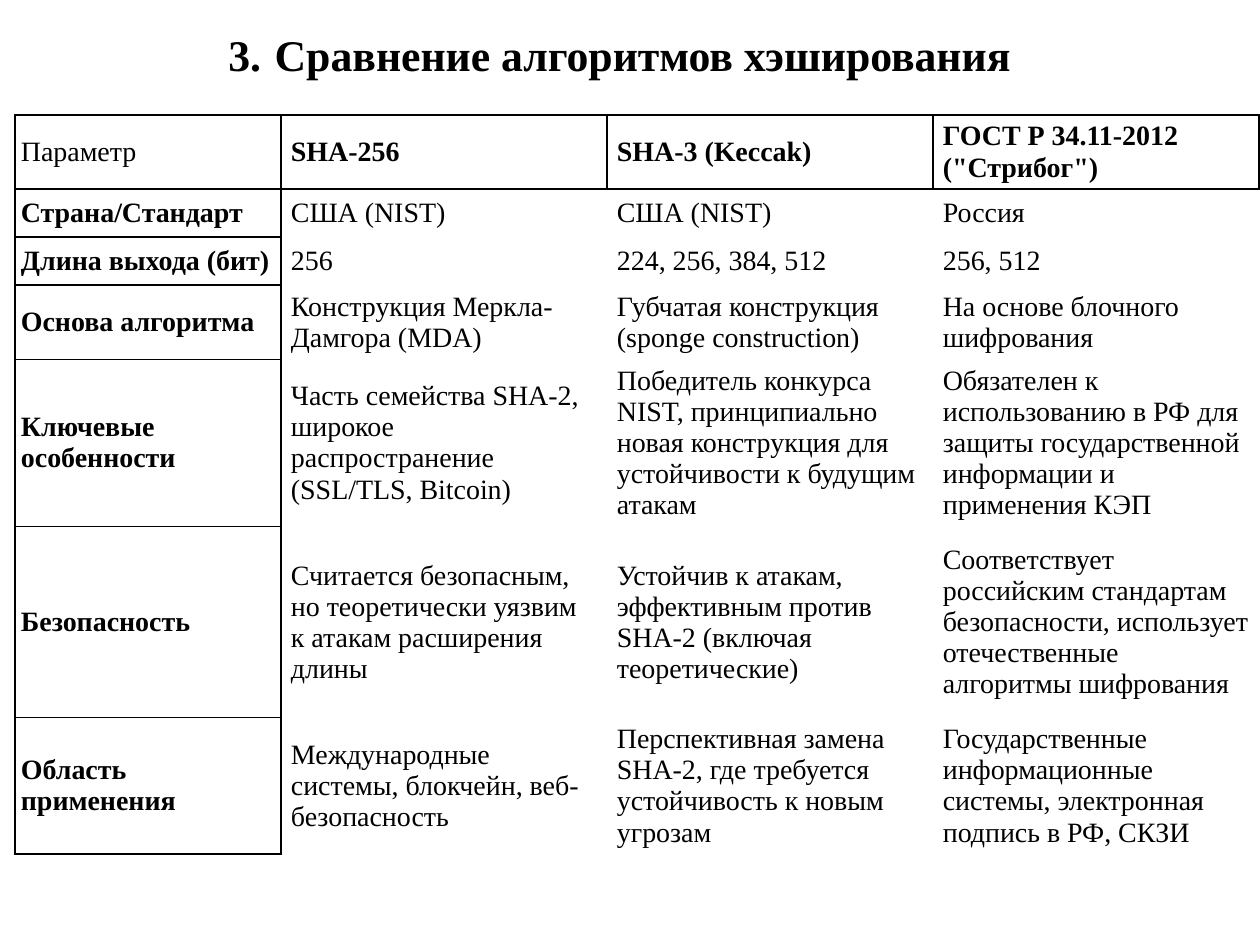
from pptx import Presentation
from pptx.dml.color import RGBColor
from pptx.enum.text import MSO_ANCHOR as Anchor, MSO_AUTO_SIZE as AutoSize, PP_ALIGN as Align
from pptx.oxml.ns import qn
from pptx.util import Emu, Pt
from lxml.etree import SubElement

SCALE = 914400 // 126  # EMU in one px
COLORS = {"text": "000000", "gap": "0F1115", "border": "000000"}
FONT = "Times New Roman"


def style_run(span, size, color, bold, font=FONT):
    span.font.name = font
    span.font.size = Pt(size)
    span.font.bold = bold
    span.font.color.rgb = RGBColor.from_string(COLORS[color])


def set_borders(cell, visible):
    properties = cell._tc.get_or_add_tcPr()
    for index, side in enumerate("LRTB"):
        line = properties.makeelement(qn(f"a:ln{side}"), {"w": str(Pt(1))})
        properties.insert(index, line)
        if side in visible:
            fill = SubElement(line, qn("a:solidFill"))
            SubElement(fill, qn("a:srgbClr"), val=COLORS["border"])
        else:
            SubElement(line, qn("a:noFill"))


deck = Presentation()
deck.slide_width, deck.slide_height = Emu(1260 * SCALE), Emu(945 * SCALE)
page = deck.slides.add_slide(deck.slide_layouts[6])

# Comparison table
ROWS = [
    ["Параметр", "SHA-256", "SHA-3 (Keccak)", 'ГОСТ Р 34.11-2012 ("Стрибог")'],
    ["Страна/Стандарт", "США (NIST)", "США (NIST)", "Россия"],
    ["Длина выхода (бит)", "256", "224, 256, 384, 512", "256, 512"],
    ["Основа алгоритма", "Конструкция Меркла-Дамгора (MDA)",
     "Губчатая конструкция (sponge construction)", "На основе блочного шифрования"],
    ["Ключевые особенности",
     "Часть семейства SHA-2, широкое распространение (SSL/TLS, Bitcoin)",
     "Победитель конкурса NIST, принципиально новая конструкция для устойчивости к будущим атакам",
     "Обязателен к использованию в РФ для защиты государственной информации и применения КЭП"],
    ["Безопасность",
     "Считается безопасным, но теоретически уязвим к атакам расширения длины",
     "Устойчив к атакам, эффективным против SHA-2 (включая теоретические)",
     "Соответствует российским стандартам безопасности, использует отечественные алгоритмы шифрования"],
    ["Область применения",
     "Международные системы, блокчейн, веб-безопасность",
     "Перспективная замена SHA-2, где требуется устойчивость к новым угрозам",
     "Государственные информационные системы, электронная подпись в РФ, СКЗИ"],
]
COLUMN_WIDTHS = [266, 326, 326, 326]
ROW_HEIGHTS = [48, 48, 48, 65, 120, 191, 102]

frame = page.shapes.add_table(
    len(ROWS), len(COLUMN_WIDTHS),
    *(Emu(px * SCALE) for px in (15, 115, sum(COLUMN_WIDTHS), 774)))
table = frame.table
table.first_row = table.horz_banding = False
for column, width in zip(table.columns, COLUMN_WIDTHS):
    column.width = Emu(width * SCALE)
for row, height in zip(table.rows, ROW_HEIGHTS):
    row.height = Emu(height * SCALE)
frame.height = Emu(774 * SCALE)

for r, texts in enumerate(ROWS):
    for c, text in enumerate(texts):
        cell = table.cell(r, c)
        cell.text = text
        cell.vertical_anchor = Anchor.MIDDLE
        cell.margin_left = Emu((6 if c == 0 else 10) * SCALE)
        cell.margin_right = Emu((6 if r > 0 and c == 3 else 10) * SCALE)
        cell.margin_top = cell.margin_bottom = Emu(6 * SCALE)
        cell.fill.background()
        # The header row and the first column are boxed and bold, bar the corner
        boxed = r == 0 or c == 0
        style_run(cell.text_frame.paragraphs[0].runs[0], 16, "text", boxed and r != c)
        if boxed:
            set_borders(cell, "LRTB")
        else:
            set_borders(cell, ("L" if c == 1 else "") + ("T" if r == 1 else ""))

# Title
box = page.shapes.add_textbox(*(Emu(px * SCALE) for px in (64, 16, 1111, 72)))
box.text_frame.word_wrap = True
box.text_frame.auto_size = AutoSize.SHAPE_TO_FIT_TEXT
para = box.text_frame.paragraphs[0]
para.alignment = Align.CENTER
for text, size, color, font in [
    ("3.", 25, "text", FONT),
    (" ", 28, "gap", "Arial"),
    ("Сравнение алгоритмов хэширования", 25, "text", FONT),
]:
    span = para.add_run()
    span.text = text
    style_run(span, size, color, True, font)

deck.save("out.pptx")
